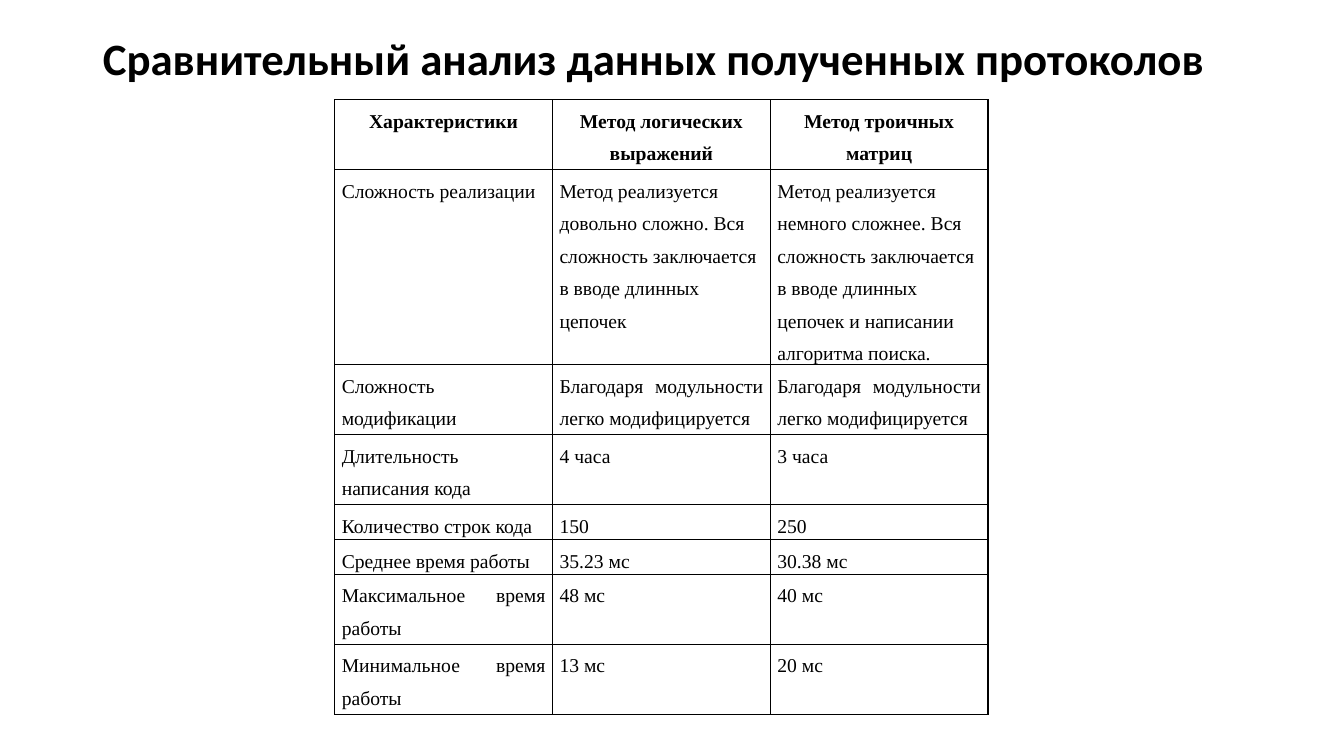
from lxml.etree import SubElement
from pptx import Presentation
from pptx.dml.color import RGBColor
from pptx.enum.text import MSO_ANCHOR, MSO_AUTO_SIZE, PP_ALIGN
from pptx.oxml.ns import qn
from pptx.util import Inches, Pt

BLACK = RGBColor(0x00, 0x00, 0x00)

COLUMN_WIDTH = Inches(2.16)
ROW_UNIT = Pt(25)
ROW_SPANS = [2, 5, 2, 2, 1, 1, 2, 2]  # row heights in grid units

HEADER = ["Характеристики", "Метод логических выражений", "Метод троичных матриц"]
MODIFICATION = "Благодаря модульности легко модифицируется"
COMPARISON = [
    ["Сложность реализации",
     "Метод реализуется довольно сложно. Вся сложность заключается "
     "в вводе длинных цепочек",
     "Метод реализуется немного сложнее. Вся сложность заключается "
     "в вводе длинных цепочек и написании алгоритма поиска."],
    ["Сложность модификации", MODIFICATION, MODIFICATION],
    ["Длительность написания кода", "4 часа", "3 часа"],
    ["Количество строк кода", "150", "250"],
    ["Среднее время работы", "35.23 мс", "30.38 мс"],
    ["Максимальное время работы", "48 мс", "40 мс"],
    ["Минимальное время работы", "13 мс", "20 мс"],
]


class SlideBuilder:
    title_font = "Calibri"
    table_font = "Times New Roman"

    def __init__(self, slide):
        self.slide = slide

    def add_text(self, paragraph, text, font, size, bold, alignment, spacing):
        paragraph.alignment = alignment
        paragraph.line_spacing = spacing
        run = paragraph.add_run()
        run.text = text
        run.font.name = font
        run.font.size = Pt(size)
        run.font.bold = bold
        run.font.color.rgb = BLACK

    def title(self, text, left, top, width, height):
        shape = self.slide.shapes.title
        shape.left, shape.top, shape.width, shape.height = left, top, width, height
        frame = shape.text_frame
        frame.auto_size = MSO_AUTO_SIZE.NONE
        frame.vertical_anchor = MSO_ANCHOR.MIDDLE
        self.add_text(frame.paragraphs[0], text, self.title_font, 32, True,
                      PP_ALIGN.LEFT, 0.9)

    def table(self, rows, left, top):
        column_count = len(rows[0])
        table = self.slide.shapes.add_table(
            len(rows), column_count, left, top,
            COLUMN_WIDTH * column_count, ROW_UNIT * sum(ROW_SPANS)).table
        table.first_row = table.horz_banding = False
        for column in table.columns:
            column.width = COLUMN_WIDTH
        for row, span in zip(table.rows, ROW_SPANS):
            row.height = ROW_UNIT * span
        for row_index, texts in enumerate(rows):
            for column_index, text in enumerate(texts):
                # Header is centred, the long descriptions are ragged right
                if row_index == 0:
                    alignment = PP_ALIGN.CENTER
                elif row_index == 1 and column_index > 0:
                    alignment = PP_ALIGN.LEFT
                else:
                    alignment = PP_ALIGN.JUSTIFY
                self.cell(table.cell(row_index, column_index), text,
                          row_index == 0, alignment)

    def cell(self, cell, text, bold, alignment):
        cell.margin_left = cell.margin_right = Inches(0.07)
        cell.margin_top = cell.margin_bottom = 0
        self.add_text(cell.text_frame.paragraphs[0], text, self.table_font, 14,
                      bold, alignment, 1.5)
        # Borders come before the fill in the cell properties
        properties = cell._tc.get_or_add_tcPr()
        for side in ("lnL", "lnR", "lnT", "lnB"):
            line = SubElement(properties, qn(f"a:{side}"), w=str(Pt(1)))
            fill = SubElement(line, qn("a:solidFill"))
            SubElement(fill, qn("a:srgbClr"), val=str(BLACK))
        cell.fill.background()


def main():
    presentation = Presentation()
    presentation.slide_width = Inches(13.33)
    presentation.slide_height = Inches(7.5)
    title_only = presentation.slide_layouts[5]
    builder = SlideBuilder(presentation.slides.add_slide(title_only))

    # Heading
    builder.title("Сравнительный анализ данных полученных протоколов",
                  Inches(0.92), Inches(0.12), Inches(11.5), Inches(0.98))
    # Comparison of the two methods
    builder.table([HEADER] + COMPARISON, Inches(3.32), Inches(0.99))

    presentation.save("out.pptx")


if __name__ == "__main__":
    main()
